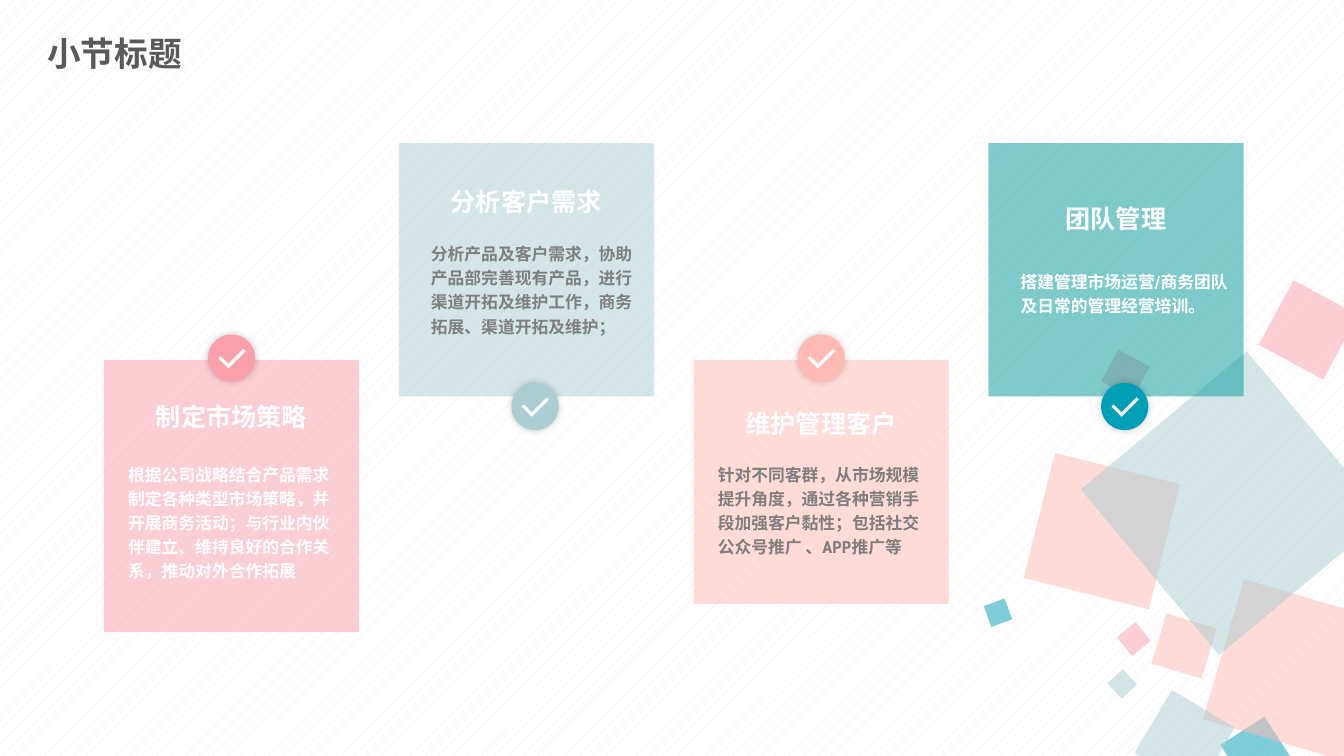
from dataclasses import dataclass

from lxml.etree import SubElement
from pptx import Presentation
from pptx.dml.color import RGBColor
from pptx.enum.dml import MSO_PATTERN
from pptx.enum.shapes import MSO_SHAPE as Preset
from pptx.enum.text import MSO_ANCHOR as Anchor, MSO_AUTO_SIZE as AutoSize, PP_ALIGN as Align
from pptx.oxml.ns import qn
from pptx.util import Cm, Pt

CJK_FONT, BODY_FONT = "Noto Sans CJK SC", "Roboto Condensed"
WHITE, GREY, DARK = "FFFFFF", "7F7F7F", "595959"
PINK, MIST, PEACH, BLUE, TEAL = "FAA0AA", "AACED2", "FFBBB3", "009FB8", "009999"
CARD_LEFT, CARD_PITCH, CARD_WIDTH = 2.62, 7.43, 6.43
BADGE_SIZE = 1.19


@dataclass
class Square:
    left: float
    top: float
    size: float
    rotation: float
    color: str


@dataclass
class Card:
    heading: str
    body: str
    raised: bool
    height: float
    heading_top: float
    body_top: float
    color: str
    badge_color: str
    body_color: str


SQUARES = [
    Square(26.14, 11.76, 3.25, 104, PEACH),
    Square(28.02, 16.97, 0.53, 317.4, MIST),
    Square(29.18, 15.62, 1.32, 16.6, PEACH),
    Square(28.27, 15.8, 0.61, 320.8, PINK),
    Square(31.01, 18.31, 1.32, 327.1, BLUE),
    Square(32.05, 7.39, 1.85, 28.4, PINK),
    Square(30.76, 15.04, 3.68, 16.4, PEACH),
    Square(28.35, 9.96, 5.44, 50.2, MIST),
    Square(24.87, 15.16, 0.56, 69.5, BLUE),
    Square(28.93, 17.73, 1.85, 30.8, MIST),
    Square(27.91, 8.97, 0.91, 28.4, PINK),
]

CARDS = [
    Card("制定市场策略",
         "根据公司战略结合产品需求制定各种类型市场策略，并开展商务活动；"
         "与行业内伙伴建立、维持良好的合作关系，推动对外合作拓展",
         False, 6.86, 9.83, 11.48, PINK, PINK, WHITE),
    Card("分析客户需求",
         "分析产品及客户需求，协助产品部完善现有产品，进行渠道开拓及维护工作，"
         "商务拓展、渠道开拓及维护；",
         True, 6.38, 4.42, 5.92, MIST, MIST, GREY),
    Card("维护管理客户",
         "针对不同客群，从市场规模提升角度，通过各种营销手段加强客户黏性；"
         "包括社交公众号推广 、APP推广等",
         False, 6.15, 10.01, 11.48, PEACH, PEACH, GREY),
    Card("团队管理", "搭建管理市场运营/商务团队及日常的管理经营培训。",
         True, 6.38, 4.85, 6.63, TEAL, BLUE, WHITE),
]


def rgb(color: str) -> RGBColor:
    return RGBColor.from_string(color)


def add_filled(shapes, preset, left: float, top: float, width: float, height: float,
               color: str, opacity: int = 100, rotation: float = 0):
    shape = shapes.add_shape(preset, Cm(left), Cm(top), Cm(width), Cm(height))
    shape.shadow.inherit = False
    shape.rotation = rotation
    shape.fill.solid()
    shape.fill.fore_color.rgb = rgb(color)
    shape.line.fill.background()
    if opacity < 100:
        fill_color = shape._element.spPr.find(qn("a:solidFill"))[0]
        SubElement(fill_color, qn("a:alpha"), val=str(opacity * 1000))
    return shape


def add_glow_shadow(shape) -> None:
    effects = shape._element.spPr.find(qn("a:effectLst"))
    shadow = SubElement(effects, qn("a:outerShdw"), blurRad=str(Pt(5)), dist="0",
                        algn="ctr", rotWithShape="0")
    shadow_color = SubElement(shadow, qn("a:srgbClr"), val="000000")
    SubElement(shadow_color, qn("a:alpha"), val="20000")


def write_text(frame, text: str, size: int, color: str, font_name: str,
               spacing: float = 1.2, alignment=Align.LEFT) -> None:
    frame.word_wrap = True
    frame.auto_size = AutoSize.NONE
    frame.text = text
    paragraph = frame.paragraphs[0]
    paragraph.alignment = alignment
    paragraph.line_spacing = spacing
    font = paragraph.font
    font.size, font.bold, font.name = Pt(size), True, font_name
    font.color.rgb = rgb(color)
    SubElement(font._element, qn("a:ea"), typeface=CJK_FONT)


def add_text(shapes, left: float, top: float, width: float, height: float,
             text: str, size: int, color: str, font_name: str, alignment=Align.LEFT) -> None:
    box = shapes.add_textbox(Cm(left), Cm(top), Cm(width), Cm(height))
    write_text(box.text_frame, text, size, color, font_name, alignment=alignment)


def add_badge(shapes, left: float, top: float, color: str) -> None:
    group = shapes.add_group_shape()
    circle = add_filled(group.shapes, Preset.OVAL, left, top, BADGE_SIZE, BADGE_SIZE, color)
    add_glow_shadow(circle)
    tick = add_filled(group.shapes, Preset.CORNER, left + 0.3, top + 0.33, 0.61, 0.36,
                      WHITE, rotation=315)
    tick.adjustments[0], tick.adjustments[1] = 0.22, 0.21


def add_card(shapes, card: Card, left: float) -> None:
    top, badge_top = (3.61, 9.65) if card.raised else (9.07, 8.43)
    badge_inset, body_inset = (2.84, 0.56) if card.raised else (2.62, 0.36)
    add_filled(shapes, Preset.RECTANGLE, left, top, CARD_WIDTH, card.height, card.color, 50)
    add_badge(shapes, left + badge_inset, badge_top, card.badge_color)
    add_text(shapes, left, card.heading_top, CARD_WIDTH, 1.17, card.heading, 18, WHITE,
             CJK_FONT, Align.CENTER)
    add_text(shapes, left + body_inset, card.body_top, 5.74, 3.3, card.body, 12,
             card.body_color, BODY_FONT)


presentation = Presentation()
presentation.slide_width, presentation.slide_height = Cm(33.87), Cm(19.05)
slide = presentation.slides.add_slide(presentation.slide_layouts[5])

# Background pattern
background = slide.background.fill
background.patterned()
background.pattern = MSO_PATTERN.PERCENT_5
background.fore_color.rgb, background.back_color.rgb = rgb("F5E5E4"), rgb(WHITE)

# Scattered squares
for square in SQUARES:
    add_filled(slide.shapes, Preset.RECTANGLE, square.left, square.top, square.size,
               square.size, square.color, 50, square.rotation)

# Title
title = slide.shapes.title
title.left, title.top, title.width, title.height = Cm(0.94), Cm(0.66), Cm(15.57), Cm(1.47)
write_text(title.text_frame, "小节标题", 24, DARK, CJK_FONT, spacing=0.9)
title.text_frame.vertical_anchor = Anchor.MIDDLE

# Cards
for index, card in enumerate(CARDS):
    add_card(slide.shapes, card, CARD_LEFT + index * CARD_PITCH)

presentation.save("out.pptx")
